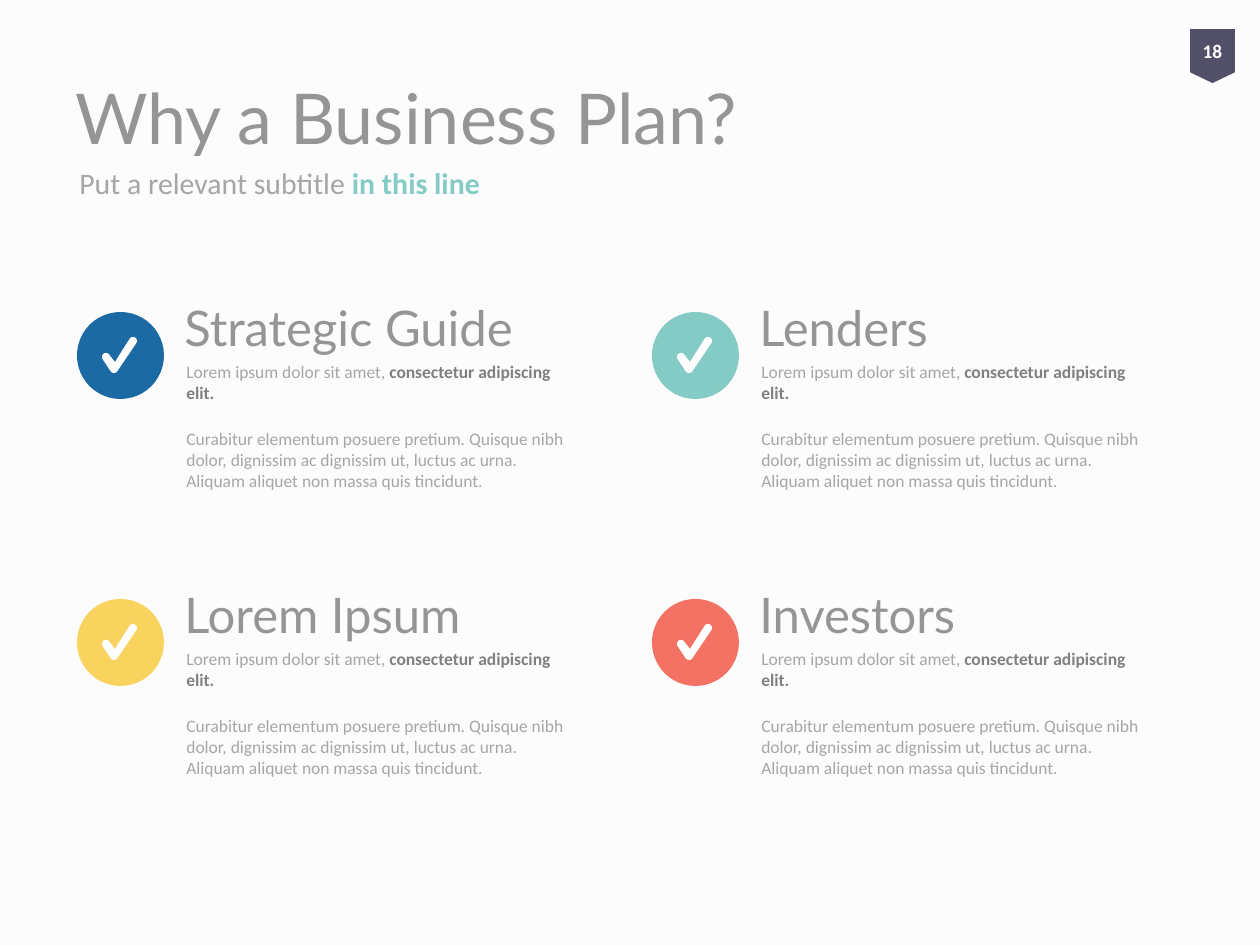
from dataclasses import dataclass
from math import atan2, cos, degrees, radians, sin

from pptx import Presentation
from pptx.dml.color import RGBColor
from pptx.enum.shapes import MSO_SHAPE
from pptx.enum.text import MSO_ANCHOR, PP_ALIGN
from pptx.shapes.autoshape import Shape
from pptx.slide import Slide
from pptx.text.text import TextFrame, _Paragraph
from pptx.util import Emu, Pt

EMU_PER_PX = 914400 / 126


@dataclass(frozen=True)
class Theme:
    background: str = "FCFCFC"
    heading: str = "959595"
    body: str = "A6A6A6"
    strong: str = "808080"
    badge: str = "525068"
    white: str = "FFFFFF"
    blue: str = "1B6AA3"
    teal: str = "84CBC5"
    yellow: str = "F8D35E"
    coral: str = "F47264"
    heading_font: str = "Lato"
    body_font: str = "Calibri"
    title_size: int = 40
    card_size: int = 28
    subtitle_size: int = 17
    number_size: int = 11
    body_size: int = 10


THEME = Theme()


@dataclass(frozen=True)
class Box:
    left: int
    top: int
    width: int
    height: int

    def emu(self) -> tuple[Emu, ...]:
        return tuple(px(value) for value in (self.left, self.top, self.width, self.height))


@dataclass(frozen=True)
class Span:
    text: str
    size: int
    color: str
    font: str = THEME.body_font
    bold: bool = False


@dataclass(frozen=True)
class Card:
    heading: str
    color: str
    column: int
    row: int


CARDS = (
    Card("Strategic Guide", THEME.blue, 0, 0),
    Card("Lenders", THEME.teal, 1, 0),
    Card("Lorem Ipsum", THEME.yellow, 0, 1),
    Card("Investors", THEME.coral, 1, 1),
)
GRID_LEFT, GRID_TOP = 77, 312
COLUMN_PITCH, ROW_PITCH = 575, 287
CIRCLE_SIZE = 87

CARD_BODY = (
    (
        Span("Lorem ipsum dolor sit amet, ", THEME.body_size, THEME.body),
        Span("consectetur adipiscing elit.", THEME.body_size, THEME.strong, bold=True),
    ),
    (
        Span(
            "Curabitur elementum posuere pretium. Quisque nibh dolor, dignissim ac "
            "dignissim ut, luctus ac urna. Aliquam aliquet non massa quis tincidunt.",
            THEME.body_size,
            THEME.body,
        ),
    ),
)


def px(value: float) -> Emu:
    return Emu(round(value * EMU_PER_PX))


def add_spans(para: _Paragraph, spans: tuple[Span, ...]) -> None:
    for span in spans:
        run = para.add_run()
        run.text = span.text
        run.font.name = span.font
        run.font.size = Pt(span.size)
        run.font.bold = span.bold
        run.font.color.rgb = RGBColor.from_string(span.color)


def add_text(page: Slide, box: Box, *spans: Span, anchor: MSO_ANCHOR = MSO_ANCHOR.MIDDLE) -> TextFrame:
    frame = page.shapes.add_textbox(*box.emu()).text_frame
    frame.word_wrap = True
    frame.vertical_anchor = anchor
    add_spans(frame.paragraphs[0], spans)
    return frame


def paint(shape: Shape, color: str) -> None:
    shape.shadow.inherit = False
    shape.fill.solid()
    shape.fill.fore_color.rgb = RGBColor.from_string(color)
    shape.line.fill.background()


def add_preset(page: Slide, kind: MSO_SHAPE, box: Box, color: str) -> Shape:
    shape = page.shapes.add_shape(kind, *box.emu())
    paint(shape, color)
    return shape


def arc(center: tuple[int, int], radius: int, start: float, end: float) -> list[tuple[float, float]]:
    steps = 12
    angles = [radians(start + (end - start) * step / steps) for step in range(steps + 1)]
    return [(center[0] + radius * cos(a), center[1] + radius * sin(a)) for a in angles]


def add_check(page: Slide, left: int, top: int) -> None:
    """Outline a round-ended tick, placed from the corner of its circle."""
    radius = 4
    short_end, elbow, long_end = (29, 45), (37, 57), (56, 29)
    inner_corner = (38, 50)
    short_angle = degrees(atan2(short_end[1] - elbow[1], short_end[0] - elbow[0]))
    long_angle = degrees(atan2(long_end[1] - elbow[1], long_end[0] - elbow[0]))
    outline = [
        *arc(short_end, radius, short_angle - 90, short_angle + 90),
        inner_corner,
        *arc(long_end, radius, long_angle - 90, long_angle + 90),
        *arc(elbow, radius, long_angle + 90, short_angle + 270),
    ]
    points = [(px(left + x), px(top + y)) for x, y in outline]
    builder = page.shapes.build_freeform(*points[0])
    builder.add_line_segments(points[1:], close=True)
    paint(builder.convert_to_shape(), THEME.white)


def add_card(page: Slide, card: Card) -> None:
    left = GRID_LEFT + card.column * COLUMN_PITCH
    top = GRID_TOP + card.row * ROW_PITCH
    first, second = CARD_BODY
    frame = add_text(page, Box(left + 97, top + 43, 417, 146), *first, anchor=MSO_ANCHOR.TOP)
    para = frame.add_paragraph()
    para.space_before = Pt(14)
    add_spans(para, second)
    heading = Span(card.heading, THEME.card_size, THEME.heading, THEME.heading_font)
    add_text(page, Box(left + 95, top - 34, 397, 98), heading)
    add_preset(page, MSO_SHAPE.OVAL, Box(left, top, CIRCLE_SIZE, CIRCLE_SIZE), card.color)
    add_check(page, left, top)


def add_page_number(page: Slide, number: str) -> None:
    badge = add_preset(page, MSO_SHAPE.FLOWCHART_OFFPAGE_CONNECTOR, Box(1190, 29, 45, 54), THEME.badge)
    frame = badge.text_frame
    frame.margin_left = frame.margin_right = frame.margin_top = frame.margin_bottom = 0
    frame.vertical_anchor = MSO_ANCHOR.MIDDLE
    para = frame.paragraphs[0]
    para.alignment = PP_ALIGN.CENTER
    add_spans(para, (Span(number, THEME.number_size, THEME.white, bold=True),))


def main() -> None:
    deck = Presentation()
    deck.slide_width, deck.slide_height = px(1260), px(945)
    page = deck.slides.add_slide(deck.slide_layouts[6])
    page.background.fill.solid()
    page.background.fill.fore_color.rgb = RGBColor.from_string(THEME.background)

    title = Span("Why a Business Plan?", THEME.title_size, THEME.heading, THEME.heading_font)
    add_text(page, Box(63, 38, 1134, 157), title)
    add_text(
        page,
        Box(67, 149, 1134, 67),
        Span("Put a relevant subtitle ", THEME.subtitle_size, THEME.body),
        Span("in this line", THEME.subtitle_size, THEME.teal, bold=True),
    )
    for card in CARDS:
        add_card(page, card)
    add_page_number(page, "18")
    deck.save("out.pptx")


if __name__ == "__main__":
    main()
